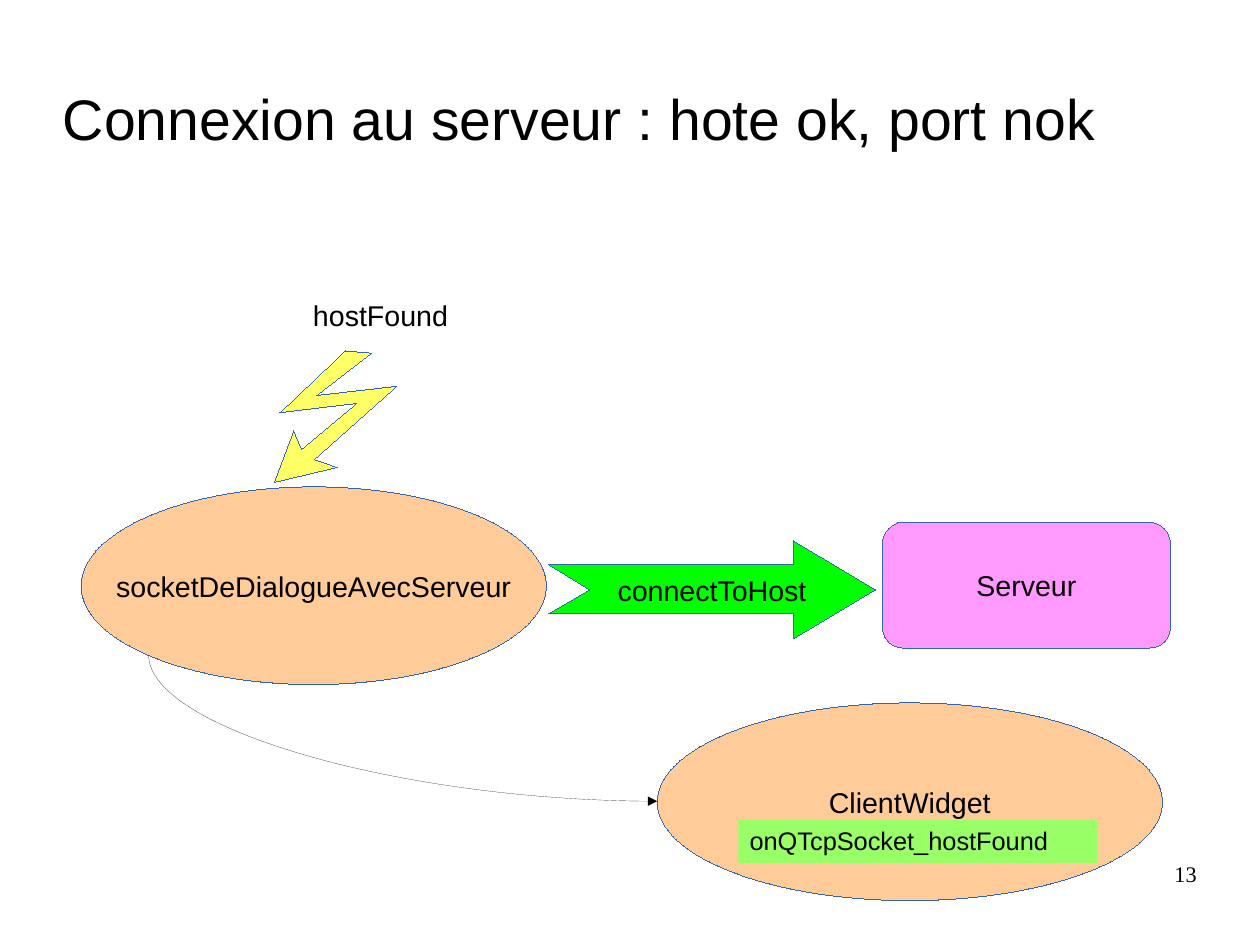
from dataclasses import dataclass
from typing import Optional

from lxml import etree
from pptx import Presentation
from pptx.dml.color import RGBColor
from pptx.enum.shapes import MSO_CONNECTOR, MSO_SHAPE
from pptx.enum.text import MSO_ANCHOR, PP_ALIGN
from pptx.oxml.ns import qn
from pptx.util import Inches, Pt

ELLIPSE, RECT = MSO_SHAPE.OVAL, MSO_SHAPE.RECTANGLE
ROUNDED = MSO_SHAPE.ROUNDED_RECTANGLE
CURVE = MSO_CONNECTOR.CURVE
TOP, MIDDLE = MSO_ANCHOR.TOP, MSO_ANCHOR.MIDDLE
LEFT, CENTER, RIGHT = PP_ALIGN.LEFT, PP_ALIGN.CENTER, PP_ALIGN.RIGHT

CM_PER_INCH = 2.54
PAGE_CM = (28, 21)

COLORS = {
    "text": "000000",
    "outline": "3465AF",
    "widget": "FFCC99",
    "server": "FF99FF",
    "signal": "FFFF66",
    "call": "00FF00",
    "slot": "99FF66",
}


@dataclass
class Label:
    text: str
    size: int = 18
    font: str = "Arial"
    align: PP_ALIGN = CENTER
    anchor: MSO_ANCHOR = MIDDLE
    wrap: bool = False
    inset: tuple = (0.1, 0.05)


@dataclass
class Node:
    box: tuple
    label: Label
    kind: Optional[MSO_SHAPE] = None  # None gives a text box
    fill: str = ""
    outline: bool = True


@dataclass
class Arrow:
    points: list
    fill: str
    label: Optional[Label] = None


TITLE = Node((0.55, 0.63, 9.29, 0.79),
             Label("Connexion au serveur : hote ok, port nok", 36,
                   align=LEFT, wrap=True, inset=(0, 0)))
SOCKET = Node((0.71, 4.26, 4.07, 1.73), Label("socketDeDialogueAvecServeur"),
              ELLIPSE, "widget")
SIGNAL = Arrow([(3.47, 3.38), (2.77, 3.46), (3.25, 3.09), (3.02, 3.07),
                (2.45, 3.61), (3.12, 3.53), (2.64, 3.93), (2.57, 3.77),
                (2.4, 4.22), (2.95, 4.09), (2.75, 4.02)], "signal")
CALL = Arrow([(4.8, 4.94), (6.94, 4.94), (6.94, 4.73), (7.66, 5.16),
              (6.94, 5.59), (6.94, 5.37), (4.8, 5.37), (5.16, 5.16)],
             "call", Label("connectToHost"))
HOST_FOUND = Node((2.64, 2.56, 1.5, 0.43),
                  Label("hostFound", align=LEFT, anchor=TOP, wrap=True))
CLIENT = Node((5.75, 6.15, 4.42, 1.73), Label("ClientWidget"),
              ELLIPSE, "widget")
SERVER = Node((7.72, 4.57, 2.52, 1.1), Label("Serveur"), ROUNDED, "server")
SLOT = Node((6.46, 7.17, 3.14, 0.38),
            Label("onQTcpSocket_hostFound", 16, align=LEFT, anchor=TOP,
                  wrap=True), RECT, "slot", outline=False)
PAGE_NUMBER = Node((7.9, 7.53, 2.57, 0.57),
                   Label("13", 14, "Times New Roman", RIGHT, TOP, True, (0, 0)))


def rgb(name: str) -> RGBColor:
    return RGBColor.from_string(COLORS[name])


def set_all(target, values: dict) -> None:
    for name, value in values.items():
        setattr(target, name, value)


def write(sp, label: Label) -> None:
    tf = sp.text_frame
    dx, dy = (Inches(v) for v in label.inset)
    set_all(tf, {"margin_left": dx, "margin_right": dx, "margin_top": dy,
                 "margin_bottom": dy, "vertical_anchor": label.anchor,
                 "word_wrap": label.wrap})
    p = tf.paragraphs[0]
    p.alignment = label.align
    r = p.add_run()
    r.text = label.text
    set_all(r.font, {"name": label.font, "size": Pt(label.size)})
    r.font.color.rgb = rgb("text")


def hairline(sp, color: str):
    """Give the thinnest line; a zero width must be stated in the XML."""
    sp.line.color.rgb = rgb(color)
    ln = sp.element.spPr.find(qn("a:ln"))
    ln.set("w", "0")
    return ln


def paint(sp, fill: str, outline: bool = True) -> None:
    sp.shadow.inherit = False
    sp.fill.solid()
    sp.fill.fore_color.rgb = rgb(fill)
    if outline:
        hairline(sp, "outline")
    else:
        sp.line.fill.background()


def draw_node(s, node: Node) -> None:
    box = [Inches(v) for v in node.box]
    if node.kind is None:
        sp = s.shapes.add_textbox(*box)
    else:
        sp = s.shapes.add_shape(node.kind, *box)
        paint(sp, node.fill, node.outline)
    write(sp, node.label)


def draw_arrow(s, arrow: Arrow) -> None:
    points = [(Inches(x), Inches(y)) for x, y in arrow.points]
    builder = s.shapes.build_freeform(*points[0])
    builder.add_line_segments(points[1:], close=True)
    sp = builder.convert_to_shape()
    paint(sp, arrow.fill)
    if arrow.label:
        write(sp, arrow.label)


def draw_curve(s, start: tuple, end: tuple) -> None:
    """Quarter curve that leaves downwards and arrives from the left."""
    cx, cy = (start[0] + end[0]) / 2, (start[1] + end[1]) / 2
    half_w, half_h = (end[1] - start[1]) / 2, (end[0] - start[0]) / 2
    cxn = s.shapes.add_connector(
        CURVE, Inches(cx + half_w), Inches(cy - half_h),
        Inches(cx - half_w), Inches(cy + half_h))
    ln = hairline(cxn, "text")
    # Quarter turn, curve type, arrowhead and no shadow
    sp_pr = cxn.element.spPr
    sp_pr.find(qn("a:xfrm")).set("rot", str(270 * 60000))
    sp_pr.find(qn("a:prstGeom")).set("prst", "curvedConnector2")
    etree.SubElement(ln, qn("a:tailEnd"), type="triangle")
    etree.SubElement(sp_pr, qn("a:effectLst"))


def main() -> None:
    prs = Presentation()
    prs.slide_width, prs.slide_height = (
        Inches(side / CM_PER_INCH) for side in PAGE_CM)
    s = prs.slides.add_slide(prs.slide_layouts[6])

    # Title and the socket with its signal
    draw_node(s, TITLE)
    draw_node(s, SOCKET)
    draw_arrow(s, SIGNAL)
    draw_arrow(s, CALL)

    # Labels, client and server
    for node in (HOST_FOUND, CLIENT, SERVER):
        draw_node(s, node)

    # Signal to slot link
    draw_curve(s, (1.3, 5.73), (5.75, 7.01))
    draw_node(s, SLOT)
    draw_node(s, PAGE_NUMBER)

    prs.save("out.pptx")


if __name__ == "__main__":
    main()
